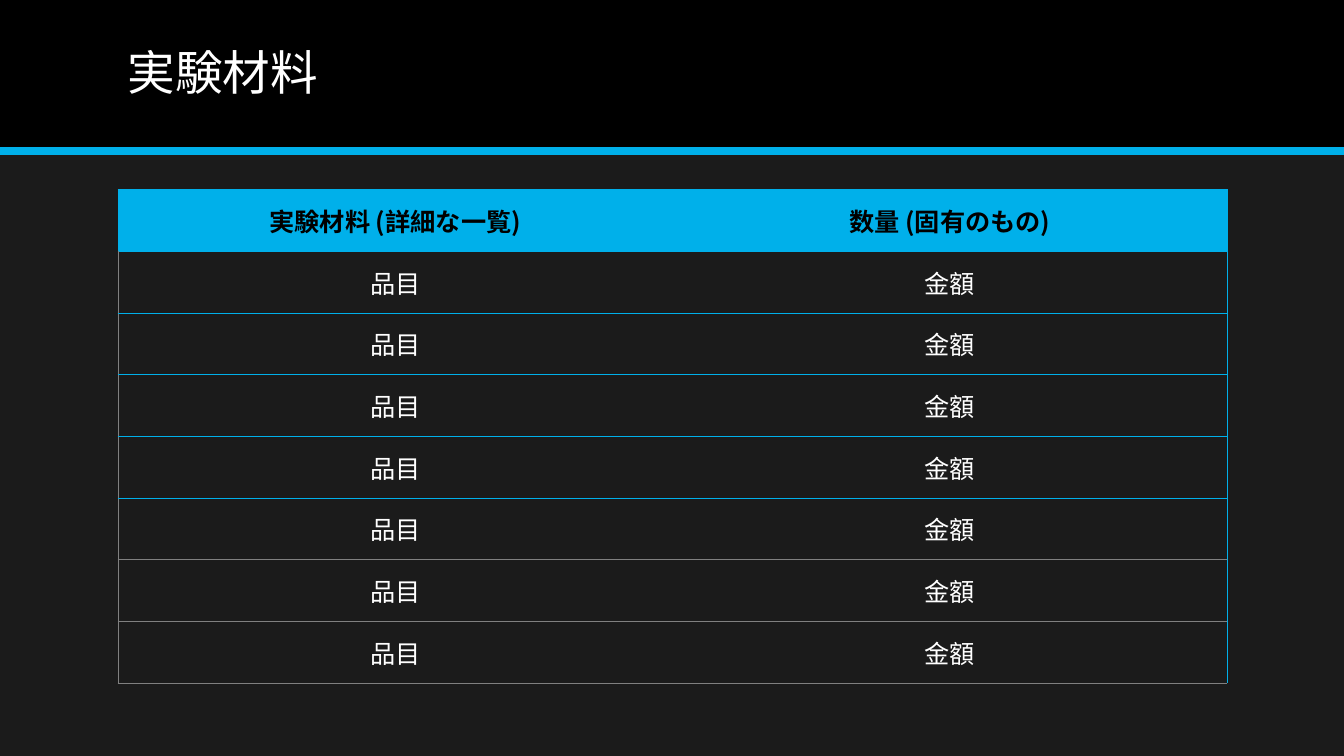
from lxml import etree
from pptx import Presentation
from pptx import util as u
from pptx.dml.color import RGBColor
from pptx.enum import shapes, text
from pptx.oxml.ns import qn

TITLE = "実験材料"
HEADER = ("実験材料 (詳細な一覧)", "数量 (固有のもの)")
ROWS = [HEADER] + [("品目", "金額")] * 7
COLORS = {"background": "1B1B1B", "band": "000000", "accent": "00B0EA",
          "light": "FFFFFF", "dark": "000000", "grey": "808080"}
FONT = "Noto Sans CJK JP"
WIDTH, BAND_HEIGHT = 13.33, 1.5
LEFT, CONTENT_WIDTH = 1.17, 11
TABLE_TOP, TABLE_HEIGHT = 1.88, 4.9
LAST_ACCENT_ROW = 4


def color(name):
    return RGBColor.from_string(COLORS[name])


def write(frame, content, size=18, ink="light", bold=False,
          align=text.PP_ALIGN.CENTER, spacing=1.0):
    paragraph = frame.paragraphs[0]
    paragraph.alignment = align
    paragraph.line_spacing = spacing
    run = paragraph.add_run()
    run.text = content
    font = run.font
    font.name, font.size, font.bold = FONT, u.Pt(size), bold
    font.color.rgb = color(ink)
    etree.SubElement(font._element, qn("a:ea"), typeface=FONT)


def set_borders(cell, borders):
    properties = cell._tc.get_or_add_tcPr()
    for index, side in enumerate(("L", "R", "T", "B")):
        name = borders.get(side)
        line = etree.Element(qn(f"a:ln{side}"), w=str(u.Pt(0.5) if name else 0))
        if name:
            fill = etree.SubElement(line, qn("a:solidFill"))
            etree.SubElement(fill, qn("a:srgbClr"), val=COLORS[name])
        else:
            etree.SubElement(line, qn("a:noFill"))
        properties.insert(index, line)


def line_below(row):
    return "accent" if row <= LAST_ACCENT_ROW else "grey"


presentation = Presentation()
presentation.slide_width = u.Inches(WIDTH)
presentation.slide_height = u.Inches(7.5)
slide = presentation.slides.add_slide(presentation.slide_layouts[6])
slide.background.fill.solid()
slide.background.fill.fore_color.rgb = color("background")

band = slide.shapes.add_shape(shapes.MSO_SHAPE.RECTANGLE, 0, 0,
                              u.Inches(WIDTH), u.Inches(BAND_HEIGHT))
band.shadow.inherit = False
band.fill.solid()
band.fill.fore_color.rgb = color("band")
band.line.fill.background()

rule = slide.shapes.add_connector(shapes.MSO_CONNECTOR.STRAIGHT, 0, u.Inches(BAND_HEIGHT),
                                  u.Inches(WIDTH), u.Inches(BAND_HEIGHT))
rule.line.color.rgb = color("accent")
rule.line.width = u.Pt(6)
etree.SubElement(rule._element.spPr, qn("a:effectLst"))

title = slide.shapes.add_textbox(u.Inches(LEFT), u.Inches(0.14),
                                 u.Inches(CONTENT_WIDTH), u.Inches(1.2))
title.text_frame.word_wrap = True
title.text_frame.vertical_anchor = text.MSO_ANCHOR.MIDDLE
write(title.text_frame, TITLE, size=34, align=text.PP_ALIGN.LEFT, spacing=0.9)

table = slide.shapes.add_table(len(ROWS), len(HEADER), u.Inches(LEFT), u.Inches(TABLE_TOP),
                               u.Inches(CONTENT_WIDTH), u.Inches(TABLE_HEIGHT)).table
table.horz_banding = False
for row, values in enumerate(ROWS):
    is_header = row == 0
    for column, value in enumerate(values):
        cell = table.cell(row, column)
        cell.vertical_anchor = text.MSO_ANCHOR.MIDDLE
        cell.fill.solid()
        cell.fill.fore_color.rgb = color("accent" if is_header else "background")
        write(cell.text_frame, value, bold=is_header, ink="dark" if is_header else "light")
        borders = {"T": line_below(max(row - 1, 0)), "B": line_below(row)}
        if column == 0:
            borders["L"] = "accent" if is_header else "grey"
        if column == len(values) - 1:
            borders["R"] = "accent"
        set_borders(cell, borders)

presentation.save("out.pptx")
